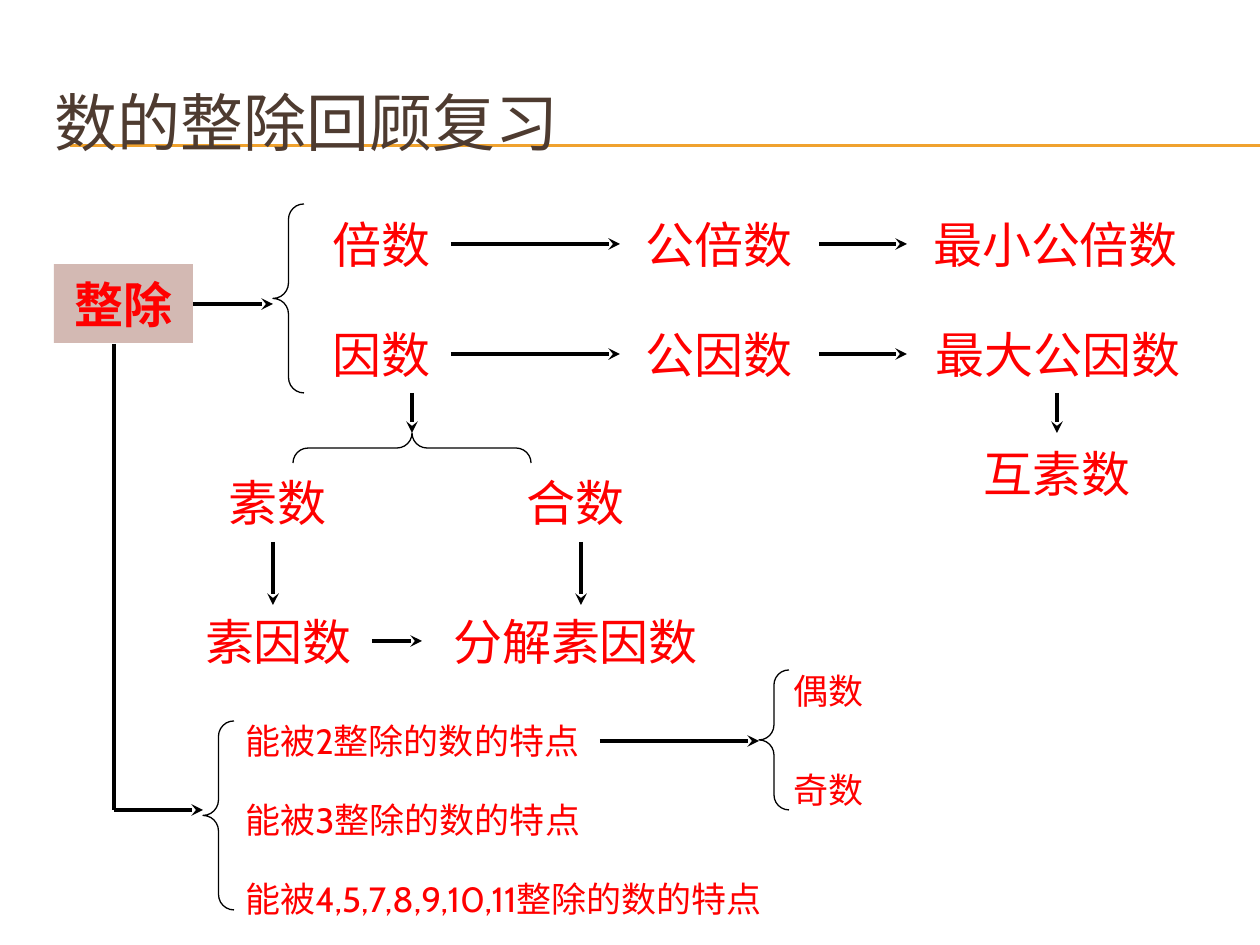
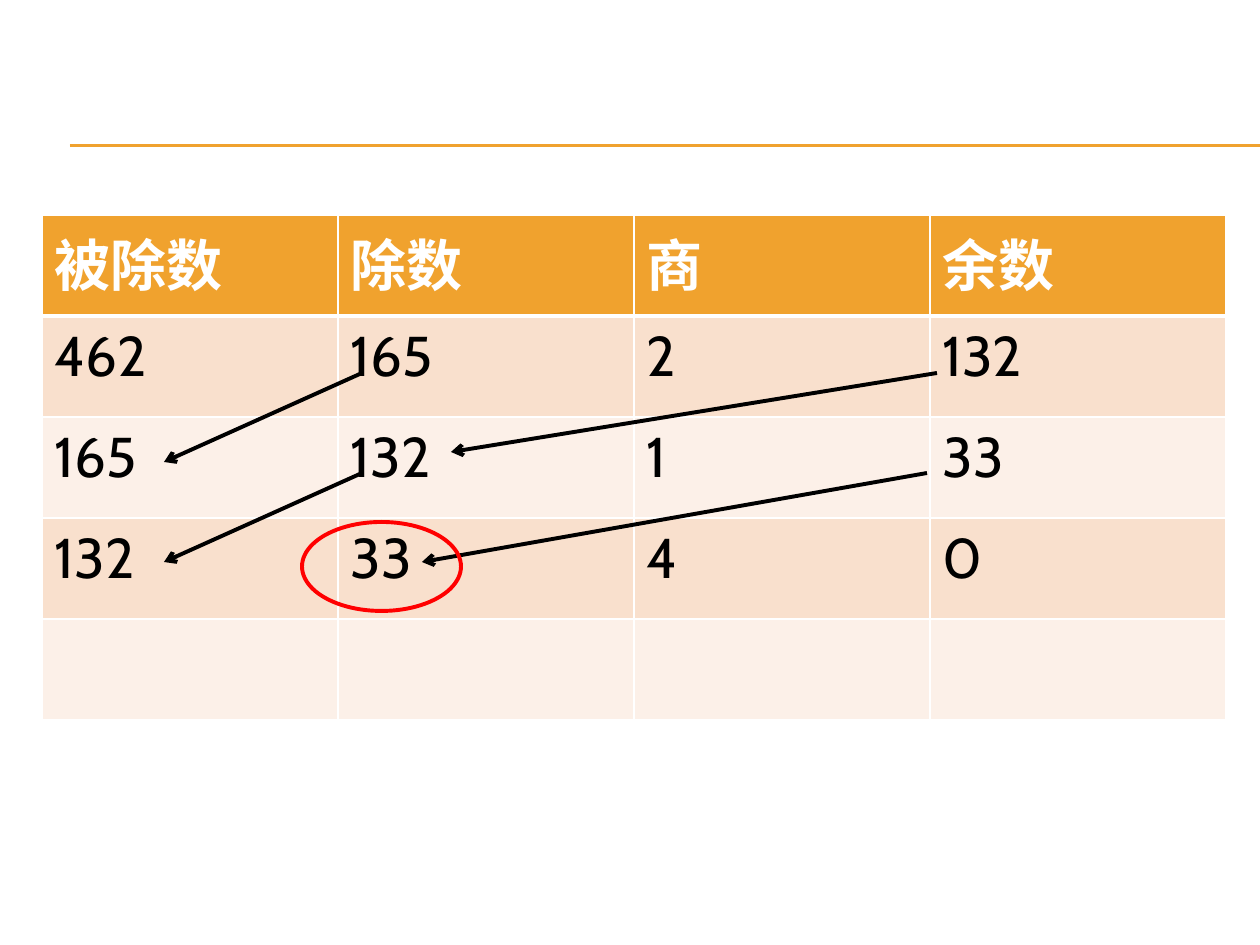
"""Two slides on division: a map of its terms and a Euclid table."""
from dataclasses import dataclass

from lxml import etree
from pptx import Presentation
from pptx.dml.color import RGBColor
from pptx.enum.shapes import MSO_CONNECTOR, MSO_SHAPE
from pptx.enum.text import MSO_ANCHOR, PP_ALIGN
from pptx.oxml.ns import qn
from pptx.slide import Slide
from pptx.util import Emu, Pt

LEFT, CENTER = PP_ALIGN.LEFT, PP_ALIGN.CENTER
MIDDLE = MSO_ANCHOR.MIDDLE
STRAIGHT = MSO_CONNECTOR.STRAIGHT
RECT, OVAL, BRACE = MSO_SHAPE.RECTANGLE, MSO_SHAPE.OVAL, MSO_SHAPE.LEFT_BRACE

FONT = "Cabin"
GOLD, BROWN, ROSE = "F0A22E", "4E3B30", "D3B9B3"
RED, BLACK, WHITE = "FF0000", "000000", "FFFFFF"
BANDS = ("F9E0CD", "FCF0E8")
THIN, THICK = 0.75, 2.25
ROW = 79  # height of every label


@dataclass
class Label:
    """A line of text in a box."""
    text: str
    x: int
    y: int
    w: int
    h: int = ROW
    size: int = 28
    align: int = CENTER
    color: str = RED


@dataclass
class Line:
    """A straight line with an optional head at its end."""
    x1: int
    y1: int
    x2: int
    y2: int
    head: str = ""
    color: str = BLACK
    width: float = THICK


@dataclass
class Brace:
    """A curly brace, turned by an angle."""
    x: int
    y: int
    w: int
    h: int
    turn: int = 0


def px(count: int) -> Emu:
    """Turn pixels into EMU, at 126 pixels to the inch."""
    return Emu(round(count * 914400 / 126))


def rgb(code: str) -> RGBColor:
    """Turn a hex string into a colour."""
    return RGBColor.from_string(code)


def write(frame, text: str, size: int, color: str,
          align: int = LEFT, bold: bool = False) -> None:
    """Write one styled run into a text frame."""
    para = frame.paragraphs[0]
    para.alignment = align
    run = para.add_run()
    run.text = text
    font = run.font
    font.name, font.size, font.bold = FONT, Pt(size), bold
    font.color.rgb = rgb(color)


def add_label(slide: Slide, item: Label) -> None:
    """Draw a label, centred in height."""
    box = slide.shapes.add_textbox(px(item.x), px(item.y), px(item.w), px(item.h))
    frame = box.text_frame
    frame.word_wrap = True
    frame.vertical_anchor = MIDDLE
    write(frame, item.text, item.size, item.color, item.align)


def add_line(slide: Slide, item: Line) -> None:
    """Draw a line or an arrow without a shadow."""
    line = slide.shapes.add_connector(
        STRAIGHT, px(item.x1), px(item.y1), px(item.x2), px(item.y2))
    line.line.color.rgb = rgb(item.color)
    line.line.width = Pt(item.width)
    props = line.element.spPr
    if item.head:
        etree.SubElement(props.find(qn("a:ln")), qn("a:tailEnd"), type=item.head)
    etree.SubElement(props, qn("a:effectLst"))


def add_outline(slide: Slide, kind: int, x: int, y: int, w: int, h: int,
                color: str, width: float):
    """Draw a preset shape with a line and no fill."""
    shape = slide.shapes.add_shape(kind, px(x), px(y), px(w), px(h))
    shape.shadow.inherit = False
    shape.fill.background()
    shape.line.color.rgb = rgb(color)
    shape.line.width = Pt(width)
    return shape


def add_brace(slide: Slide, item: Brace) -> None:
    """Draw a brace with fully round ends."""
    shape = add_outline(slide, BRACE, item.x, item.y, item.w, item.h, BLACK, THIN)
    shape.adjustments[0] = 0.5
    shape.adjustments[1] = 0.5
    shape.rotation = item.turn


def add_root(slide: Slide, text: str) -> None:
    """Draw the filled box from which the map starts."""
    box = slide.shapes.add_shape(RECT, px(54), px(264), px(139), px(ROW))
    box.shadow.inherit = False
    box.fill.solid()
    box.fill.fore_color.rgb = rgb(ROSE)
    box.line.fill.background()
    box.text_frame.vertical_anchor = MIDDLE
    write(box.text_frame, text, 28, RED, CENTER, True)


def add_edges(cell, top: float, base: float) -> None:
    """Give a cell white borders; call this before its fill."""
    props = cell._tc.get_or_add_tcPr()
    for side, width in (("L", 1), ("R", 1), ("T", top), ("B", base)):
        edge = etree.SubElement(props, qn(f"a:ln{side}"), w=str(Pt(width)))
        fill = etree.SubElement(edge, qn("a:solidFill"))
        etree.SubElement(fill, qn("a:srgbClr"), val=WHITE)


def add_table(slide: Slide, rows: list[tuple[str, ...]]) -> None:
    """Draw the banded table with its gold header."""
    wide, high = 296, 101
    count = len(rows[0])
    table = slide.shapes.add_table(
        len(rows), count, px(42), px(215),
        px(wide * count), px(high * len(rows))).table
    for r, row in enumerate(rows):
        table.rows[r].height = px(high)
        head = r == 0
        for c, text in enumerate(row):
            cell = table.cell(r, c)
            add_edges(cell, 3 if r == 1 else 1, 3 if head else 1)
            cell.fill.solid()
            cell.fill.fore_color.rgb = rgb(GOLD if head else BANDS[(r - 1) % 2])
            if text:
                write(cell.text_frame, text, 32, WHITE if head else BLACK, bold=head)
    for col in table.columns:
        col.width = px(wide)


def add_slide(deck) -> Slide:
    """Add a blank slide with the double gold rule."""
    slide = deck.slides.add_slide(deck.slide_layouts[6])
    for y in (145, 146):
        add_line(slide, Line(70, y, 1260, y, color=GOLD, width=THIN))
    return slide


TITLE = Label("数的整除回顾复习", 42, 63, 1197, 116, 36, LEFT, BROWN)

TERMS = [
    Label("倍数", 312, 204, 139),
    Label("公倍数", 620, 204, 198),
    Label("最小公倍数", 907, 204, 297),
    Label("因数", 312, 314, 139),
    Label("公因数", 620, 314, 198),
    Label("最大公因数", 907, 314, 302),
    Label("互素数", 958, 433, 198),
    Label("素数", 193, 462, 169),
    Label("合数", 481, 462, 189),
    Label("素因数", 184, 601, 189),
    Label("分解素因数", 422, 601, 307),
    Label("偶数", 759, 651, 139, size=20),
    Label("奇数", 759, 750, 139, size=20),
]

RULES = [
    Label(f"能被{num}整除的数的特点", 233, 701 + 79 * i, 605, size=20, align=LEFT)
    for i, num in enumerate(("2", "3", "4,5,7,8,9,10,11"))
]

LINKS = [
    Line(x1, y, x2, y, "stealth")
    for y in (244, 354) for x1, x2 in ((451, 620), (819, 907))
] + [
    Line(x, y1, x, y2, "stealth")
    for x, y1, y2 in ((412, 393, 433), (1057, 393, 433),
                      (273, 542, 605), (581, 542, 605))
] + [
    Line(193, 304, 273, 304, "stealth"),
    Line(372, 641, 422, 641, "stealth"),
    Line(600, 741, 759, 741, "stealth"),
    Line(114, 344, 114, 810),
    Line(114, 810, 203, 810, "stealth"),
]

BRACES = [
    Brace(273, 204, 31, 189),
    Brace(397, 329, 30, 238, 90),
    Brace(203, 721, 31, 189),
    Brace(759, 670, 30, 140),
]

STEPS = [
    ("被除数", "除数", "商", "余数"),
    ("462", "165", "2", "132"),
    ("165", "132", "1", "33"),
    ("132", "33", "4", "0"),
    ("", "", "", ""),
]

MOVES = [
    Line(362, 373, 164, 462, "arrow"),
    Line(362, 473, 164, 562, "arrow"),
    Line(937, 373, 451, 452, "arrow"),
    Line(927, 473, 422, 562, "arrow"),
]


def main() -> None:
    """Build both slides and save the deck."""
    deck = Presentation()
    deck.slide_width, deck.slide_height = px(1260), px(945)

    terms = add_slide(deck)
    add_root(terms, "整除")
    for label in [TITLE] + TERMS + RULES:
        add_label(terms, label)
    for link in LINKS:
        add_line(terms, link)
    for brace in BRACES:
        add_brace(terms, brace)

    steps = add_slide(deck)
    add_table(steps, STEPS)
    for move in MOVES:
        add_line(steps, move)
    add_outline(steps, OVAL, 302, 522, 159, 89, RED, THICK)

    deck.save("out.pptx")


main()
